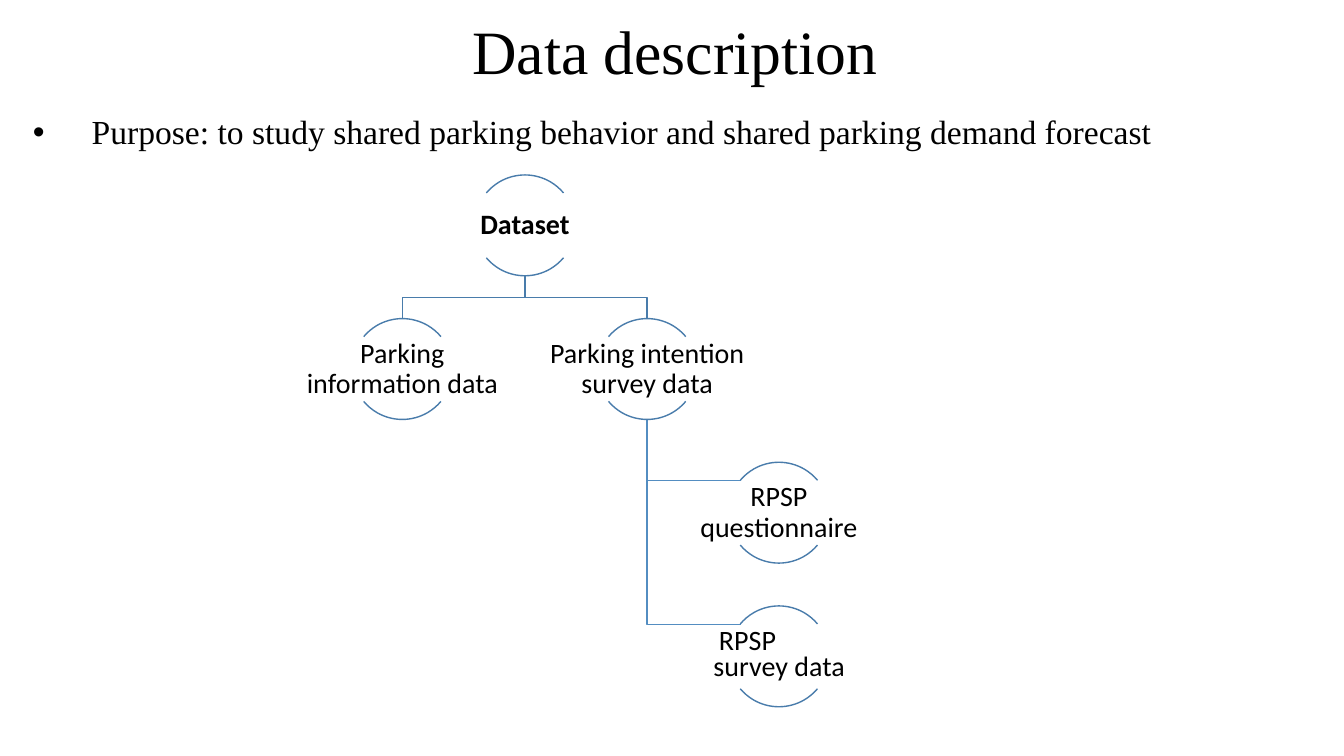
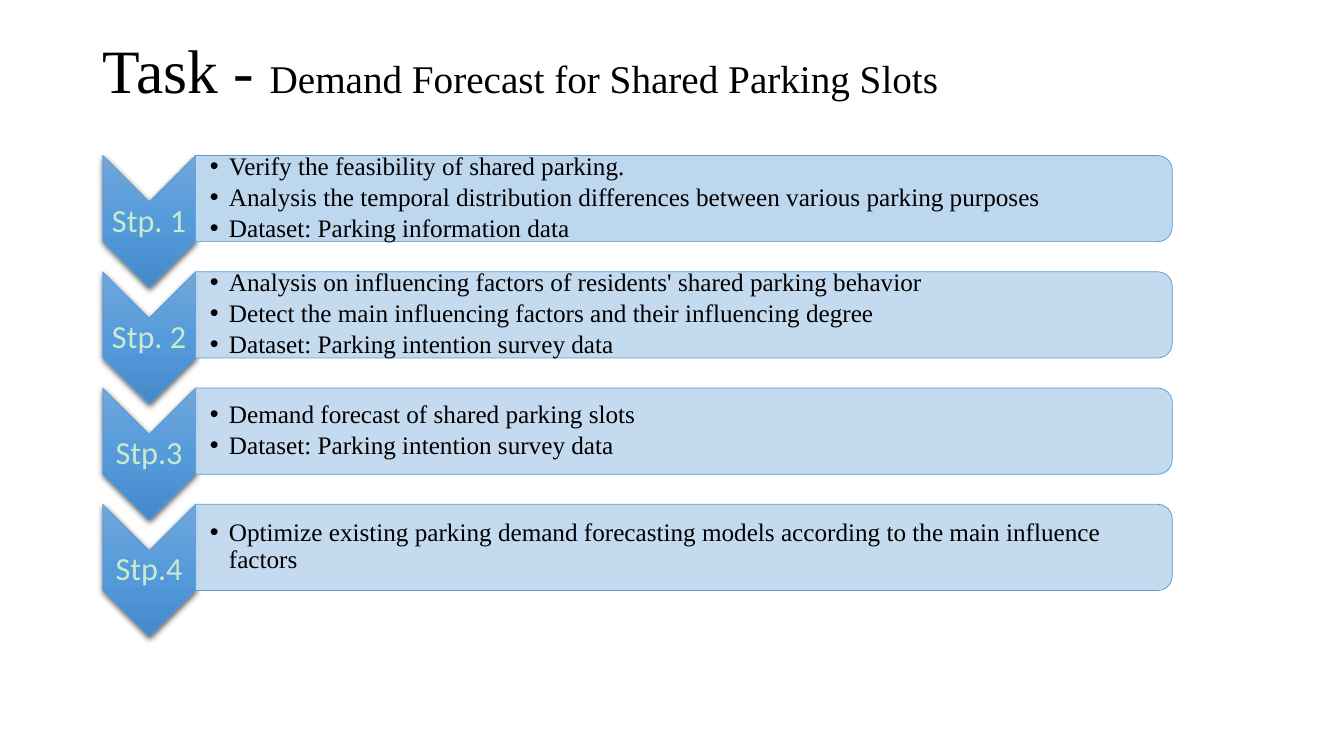
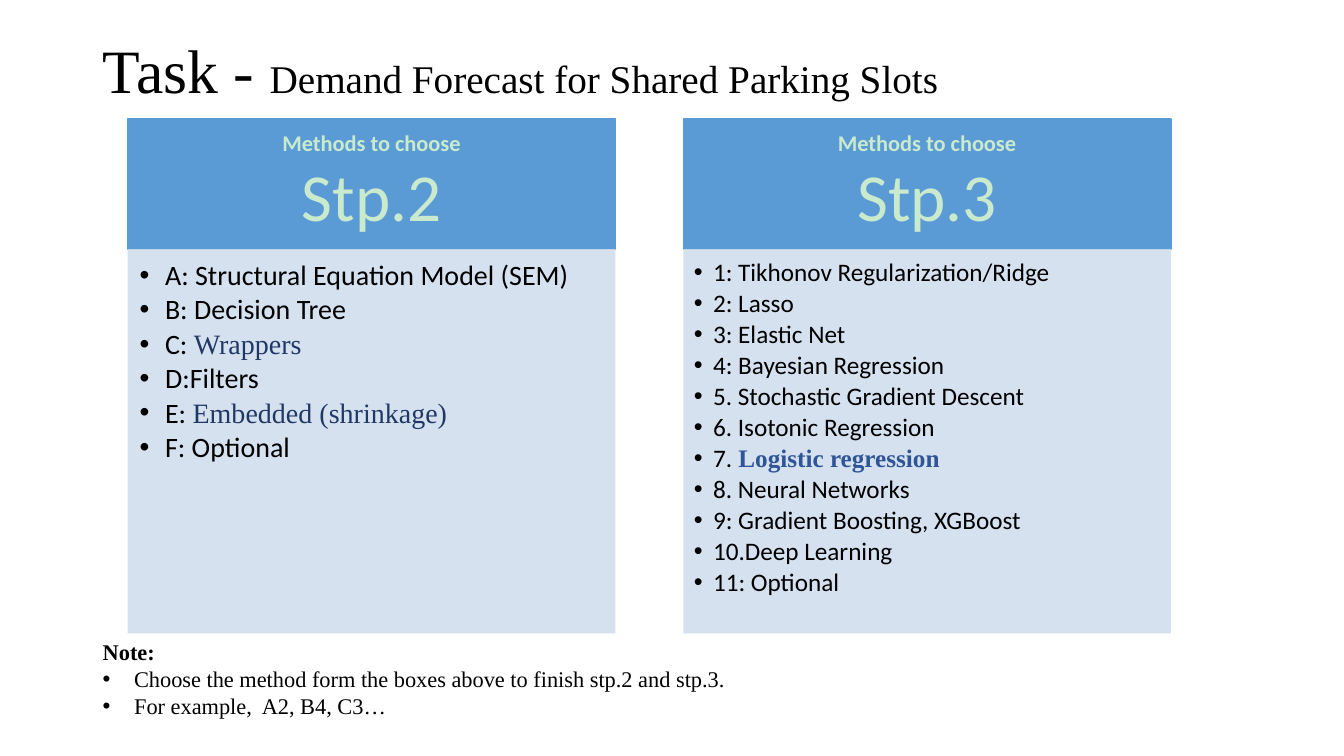
from dataclasses import dataclass, replace

from lxml import etree
from pptx import Presentation
from pptx import util as u
from pptx.dml import color
from pptx.enum import shapes, text
from pptx.oxml import ns

Cm, Pt = u.Cm, u.Pt
Kind, Align, Anchor = shapes.MSO_SHAPE, text.PP_ALIGN, text.MSO_ANCHOR


@dataclass(frozen=True)
class Font:
    """Look of one run."""

    name: str
    size: float
    ink: str = "000000"
    bold: bool = False


@dataclass(frozen=True)
class Para:
    """Spacing and marks of a paragraph, with lengths in cm."""

    align: Align = Align.LEFT
    line: object = 0.9
    after: int = 0
    left: float = 0
    first: float = 0
    mark: bool = False


class Theme:
    """Colours, fonts and paragraph styles of the deck."""

    serif, sans = "Times New Roman", "Calibri"
    blue, pale, ice, mint = "5B9BD5", "BDD7EE", "D2DEEF", "CAEACE"
    edge, branch = "497CAB", "538DC1"
    shade = ((0, "71A6DB"), (50, "559BDB"), (100, "448ACA"))
    title, sub = Font(serif, 44), Font(serif, 28)
    lead, item, note = Font(serif, 24), Font(serif, 18), Font(serif, 16)
    node, small = Font(sans, 20), Font(sans, 18)
    step, head, big = Font(sans, 23, mint), Font(sans, 16, mint, True), Font(sans, 48, mint)
    navy, key = Font(serif, 20, "203864"), Font(serif, 18, "2F5597", True)
    plain, mid = Para(), Para(Align.CENTER, after=35)
    list = Para(after=15, left=0.48, first=-0.48, mark=True)
    inset = (0.25, 0.13, 0.25, 0.13)
    thin = (0.03,) * 4


def rgb(code):
    """Turn a hex code into a colour."""
    return color.RGBColor.from_string(code)


def add(root, tag, **attrs):
    """Append a drawing element with its attributes."""
    return etree.SubElement(root, ns.qn(tag), {k: str(v) for k, v in attrs.items()})


def style(para, look):
    """Apply a paragraph style."""
    para.alignment, para.line_spacing = look.align, look.line
    props = para._p.get_or_add_pPr()
    props.set("marL", str(Cm(look.left)))
    props.set("indent", str(Cm(look.first)))
    if look.after:
        add(add(props, "a:spcAft"), "a:spcPct", val=look.after * 1000)
    if look.mark:
        add(props, "a:buFont", typeface="Arial")
        add(props, "a:buChar", char="•")


def write(shape, rows, inset=Theme.inset, anchor=Anchor.MIDDLE):
    """Fill a shape with rows, each a paragraph style and its runs."""
    frame = shape.text_frame
    frame.word_wrap, frame.vertical_anchor = True, anchor
    (frame.margin_left, frame.margin_top,
     frame.margin_right, frame.margin_bottom) = map(Cm, inset)
    for i, (look, *runs) in enumerate(rows):
        para = frame.add_paragraph() if i else frame.paragraphs[0]
        style(para, look)
        for words, font in runs:
            if words == "\n":
                para.add_line_break()
                continue
            run = para.add_run()
            run.text = words
            run.font.name, run.font.size = font.name, Pt(font.size)
            run.font.bold, run.font.color.rgb = font.bold, rgb(font.ink)


def label(slide, box, rows, **opts):
    """Place a text box."""
    write(slide.shapes.add_textbox(*map(Cm, box)), rows, **opts)


def paint(shape, fill=None, line=None, width=1.0, alpha=100):
    """Set fill and line, and drop the shadow."""
    shape.shadow.inherit = False
    if fill:
        shape.fill.solid()
        shape.fill.fore_color.rgb = rgb(fill)
        if alpha < 100:
            tone = shape._element.spPr.find(ns.qn("a:solidFill"))[0]
            add(tone, "a:alpha", val=alpha * 1000)
    else:
        shape.fill.background()
    if line:
        shape.line.color.rgb, shape.line.width = rgb(line), Pt(width)
    else:
        shape.line.fill.background()
    return shape


def block(slide, kind, box, **look):
    """Place a painted preset shape."""
    return paint(slide.shapes.add_shape(kind, *map(Cm, box)), **look)


def turned(slide, kind, box, **look):
    """Place a shape turned by a quarter so that it covers the box."""
    x, y, w, h = box
    shape = block(slide, kind, (x + (w - h) / 2, y + (h - w) / 2, h, w), **look)
    shape.rotation = 90
    return shape


def trace(slide, points, ink):
    """Draw an open line through points."""
    start, *rest = [tuple(map(Cm, point)) for point in points]
    pen = slide.shapes.build_freeform(*start)
    pen.add_line_segments(rest, close=False)
    paint(pen.convert_to_shape(), line=ink)


def node(slide, x, y, row):
    """Draw a tree node: an arc above and an arc below a text."""
    for start, end in ((220, 320), (40, 140)):
        arc = block(slide, Kind.ARC, (x - 1.27, y, 2.54, 2.54), line=Theme.edge)
        arc.adjustments[0], arc.adjustments[1] = start * 0.6, end * 0.6
    label(slide, (x - 2.55, y + 0.46, 5.1, 1.63), [row], inset=Theme.thin)


def arrow(slide, box):
    """Draw a shaded chevron that points down."""
    shape = turned(slide, Kind.CHEVRON, box, fill=Theme.blue, line=Theme.blue, width=0.5)
    props = shape._element.spPr
    grad = etree.Element(ns.qn("a:gradFill"), rotWithShape="0")
    stops = add(grad, "a:gsLst")
    for spot, tone in Theme.shade:
        add(add(stops, "a:gs", pos=spot * 1000), "a:srgbClr", val=tone)
    add(grad, "a:lin", ang=90 * 60000, scaled=0)
    props.replace(props.find(ns.qn("a:solidFill")), grad)
    cast = add(props.find(ns.qn("a:effectLst")), "a:outerShdw", blurRad=Pt(4.5),
               dist=Pt(1.5), dir=90 * 60000, algn="ctr", rotWithShape=0)
    add(add(cast, "a:srgbClr", val="000000"), "a:alpha", val=63000)


def step(slide, y, name, items, alpha):
    """Draw one step: arrow, name and bar of points."""
    arrow(slide, (2.59, y, 2.34, 3.33))
    label(slide, (2.59, y + 1.17, 2.34, 0.99), [(Theme.mid, (name, Theme.step))],
          inset=(0.05,) * 4)
    turned(slide, Kind.ROUND_2_SAME_RECTANGLE, (4.93, y, 24.61, 2.17),
           fill=Theme.pale, line=Theme.blue, width=0.5, alpha=alpha)
    label(slide, (4.93, y + 0.1, 24.51, 1.95),
          [(Theme.list, (item, Theme.item)) for item in items],
          inset=(0.36, 0.03, 0.03, 0.03))


def card(slide, x, name, rows, inset):
    """Draw a column of methods under a header."""
    top = block(slide, Kind.RECTANGLE, (x, 3, 12.29, 3.28), fill=Theme.blue, line=Theme.blue)
    write(top, [(Theme.mid, ("Methods to choose", Theme.head)),
                (Theme.mid, (name, Theme.big))], inset=(0.3, 0.18, 0.3, 0.18))
    base = block(slide, Kind.RECTANGLE, (x, 6.28, 12.29, 9.68), fill=Theme.ice, alpha=90)
    write(base, rows, inset=inset, anchor=Anchor.TOP)


def task(slide):
    """Write the title that the task slides share."""
    label(slide, (2.34, 0.3, 30.1, 3.1),
          [(Theme.plain, ("Task - ", Theme.title),
            ("Demand Forecast for Shared Parking Slots", Theme.sub))])


def data(slide):
    """Build the tree of the dataset."""
    label(slide, (2.74, 0, 28.55, 2.74),
          [(Para(Align.CENTER), ("Data description", Theme.title))])
    label(slide, (0.58, 2.79, 32.28, 2.13),
          [(Para(left=1.48, first=-1.48, mark=True),
            ("Purpose: to study shared parking behavior and shared parking demand forecast",
             Theme.lead))], anchor=Anchor.TOP)
    root, info, survey, leaf = 13.23, 10.14, 16.31, 19.63
    rows = [4.41 + 3.62 * i for i in range(4)]
    for y in rows[:1:-1]:
        trace(slide, [(survey, rows[1] + 2.54), (survey, y + 0.46), (leaf - 0.96, y + 0.46)],
              Theme.branch)
    for x in (survey, info):
        trace(slide, [(root, rows[0] + 2.54), (root, rows[1] - 0.54),
                      (x, rows[1] - 0.54), (x, rows[1])], Theme.edge)
    font = Theme.node
    node(slide, root, rows[0], (Theme.mid, ("Dataset", replace(font, bold=True))))
    for x, y, words in ((info, rows[1], "Parking information data"),
                        (survey, rows[1], "Parking intention survey data"),
                        (leaf, rows[2], "RPSP questionnaire")):
        node(slide, x, y, (Theme.mid, (words, font)))
    node(slide, leaf, rows[3], (Para(line=Pt(18), after=35, left=0.87, first=0.14),
                                ("RPSP", font), ("\n", font), ("survey data", font)))


def steps(slide):
    """Build the list of steps."""
    task(slide)
    plan = (
        ("Stp. 1", ("Verify the feasibility of shared parking.",
                    "Analysis the temporal distribution differences between various parking purposes",
                    "Dataset: Parking information data")),
        ("Stp. 2", ("Analysis on influencing factors of residents' shared parking behavior",
                    "Detect the main influencing factors and their influencing degree",
                    "Dataset: Parking intention survey data")),
        ("Stp.3", ("Demand forecast of shared parking slots",
                   "Dataset: Parking intention survey data")),
        ("Stp.4", ("Optimize existing parking demand forecasting models "
                   "according to the main influence factors",)),
    )
    for i, (name, items) in enumerate(plan):
        step(slide, 3.92 + 2.93 * i, name, items, 90 if i else 100)


def methods(slide):
    """Build the two columns of methods and the note."""
    task(slide)
    wide = replace(Theme.list, left=0.64, first=-0.64)
    left = (("A: Structural Equation Model (SEM)",), ("B: Decision Tree",),
            ("C: ", "Wrappers"), ("D:Filters",), ("E: ", "Embedded (shrinkage)"),
            ("F: Optional",))
    right = (("1: Tikhonov Regularization/Ridge",), ("2: Lasso",), ("3: Elastic Net",),
             ("4: Bayesian Regression",), ("5. Stochastic Gradient Descent",),
             ("6. Isotonic Regression",), ("7.", " Logistic regression"),
             ("8. Neural Networks",), ("9: Gradient Boosting, XGBoost",),
             ("10.Deep Learning",), ("11: Optional",))
    for x, name, items, look, fonts, inset in (
            (3.22, "Stp.2", left, wide, (Theme.node, Theme.navy), (0.3, 0.3, 0.41, 0.43)),
            (17.22, "Stp.3", right, Theme.list, (Theme.small, Theme.key),
             (0.27, 0.27, 0.36, 0.41))):
        card(slide, x, name, [(look, *zip(item, fonts)) for item in items], inset)
    body = Para(Align.JUSTIFY, line=1.0)
    point = replace(body, left=0.79, first=-0.79, mark=True)
    label(slide, (2.34, 15.96, 28.63, 2.31),
          [(body, ("Note:", replace(Theme.note, bold=True))),
           (point, ("Choose the method form the boxes above to finish stp.2 and stp.3.",
                    Theme.note)),
           (point, ("For example,  A2, B4, C3…", Theme.note))], anchor=Anchor.TOP)


def main():
    """Build and save the deck."""
    deck = Presentation()
    deck.slide_width, deck.slide_height = Cm(33.87), Cm(19.05)
    for build in (data, steps, methods):
        build(deck.slides.add_slide(deck.slide_layouts[6]))
    deck.save("out.pptx")


main()
